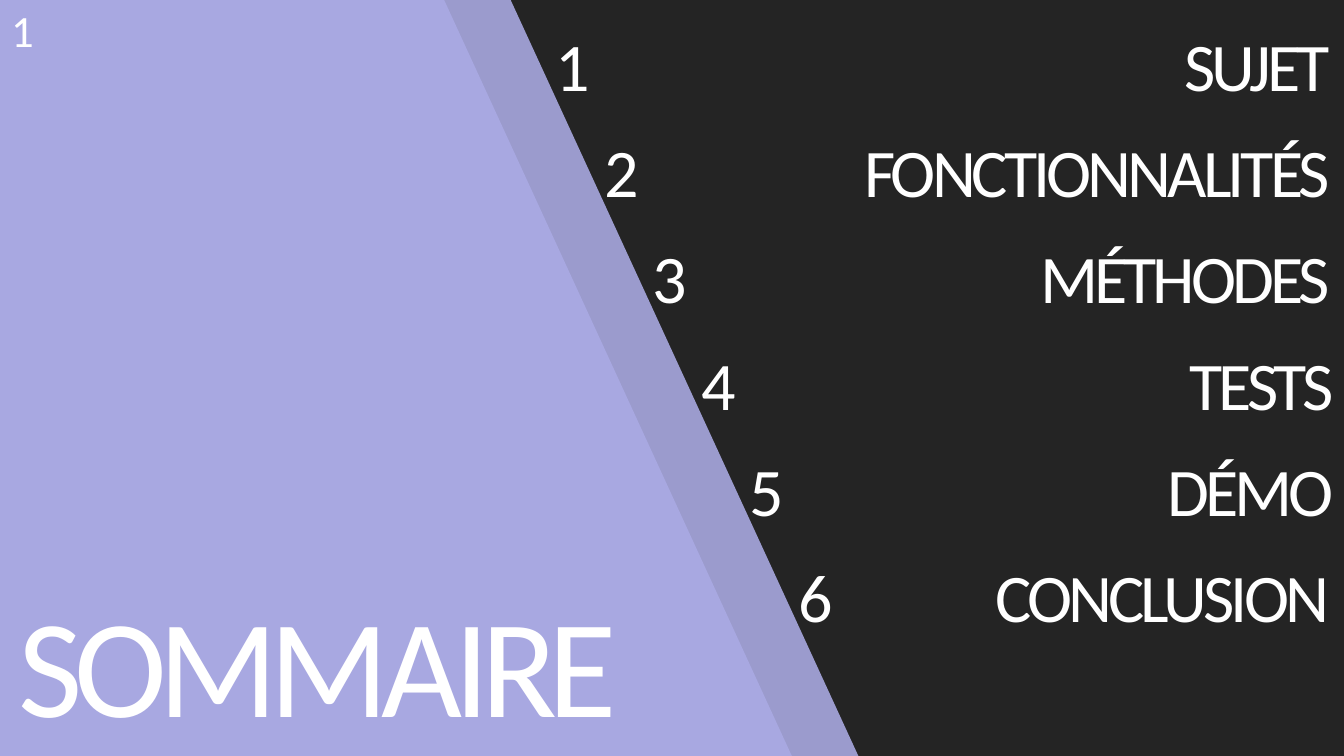
from pptx import Presentation
from pptx import util as u
from pptx.dml.color import RGBColor
from pptx.enum import shapes, text

PX = 9144  # 100 px to the inch
WHITE = "FFFFFF"
TOPICS = [  # label, left and right edge
    ("SUJET", 1150, 1979),
    ("FONCTIONNALITÉS", 1127, 1979),
    ("MÉTHODES", 1362, 1979),
    ("TESTS", 1368, 1985),
    ("DÉMO", 1374, 1985),
    ("CONCLUSION", 1368, 1978),
]
ROW_PITCH, ROW_HEIGHT = 158, 137
NUMBER_SHIFT, NUMBER_WIDTH = 72.6, 67


def color(hex_string):
    return RGBColor.from_string(hex_string)


def place(shape, left, top, width, height):
    shape.left, shape.top, shape.width, shape.height = (
        u.Emu(value * PX) for value in (left, top, width, height))


def write(shape, wording, size, line, spacing, align=text.PP_ALIGN.LEFT):
    """Fill a shape with one line; spacing is in hundredths of a point."""
    frame = shape.text_frame
    frame.text = wording
    frame.word_wrap = True
    frame.auto_size = text.MSO_AUTO_SIZE.SHAPE_TO_FIT_TEXT
    frame.vertical_anchor = text.MSO_ANCHOR.TOP
    frame.margin_left = frame.margin_top = frame.margin_right = frame.margin_bottom = 0
    paragraph = frame.paragraphs[0]
    paragraph.alignment = align
    paragraph.line_spacing = u.Pt(line)
    run = paragraph.runs[0]
    run.font.name = "Calibri"
    run.font.size = u.Pt(size)
    run.font.color.rgb = color(WHITE)
    run.font._element.set("spc", str(spacing))


def add_text(slide, box, wording, *style):
    shape = slide.shapes.add_textbox(0, 0, 0, 0)
    write(shape, wording, *style)
    place(shape, *box)


def add_panel(slide, box, rotation, fill):
    shape = slide.shapes.add_shape(shapes.MSO_SHAPE.RECTANGLE, 0, 0, 0, 0)
    place(shape, *box)
    shape.rotation = rotation
    shape.shadow.inherit = False
    shape.fill.solid()
    shape.fill.fore_color.rgb = color(fill)
    shape.line.fill.background()


def add_title(slide, box):
    title = slide.shapes.title
    write(title, "SOMMAIRE", 149.9, 133.4, -880)
    place(title, *box)
    # Bring the title in front of the panels
    slide.shapes._spTree.append(title._element)


def add_contents(slide, left, top):
    """Numbers step along the slanted edge, topics align to the right."""
    style = (72.9, 102, -430)
    for index, (label, label_left, label_right) in enumerate(TOPICS):
        row_top = top + index * ROW_PITCH
        number_left = left + round(index * NUMBER_SHIFT)
        add_text(slide, (number_left, row_top, NUMBER_WIDTH, ROW_HEIGHT),
                 str(index + 1), *style)
        add_text(slide, (label_left, row_top, label_right - label_left, ROW_HEIGHT),
                 label, *style, text.PP_ALIGN.RIGHT)


def main():
    presentation = Presentation()
    presentation.slide_width = u.Emu(2000 * PX)
    presentation.slide_height = u.Emu(1125 * PX)
    slide = presentation.slides.add_slide(presentation.slide_layouts[5])
    slide.background.fill.solid()
    slide.background.fill.fore_color.rgb = color("242424")

    add_panel(slide, (496, -646, 444, 2172), 335.3, "9B9BCD")
    add_panel(slide, (-756, 322, 2287, 1316), 245.3, "A8A8E1")
    add_title(slide, (27, 924, 1172, 201))
    add_contents(slide, 826, 15)
    add_text(slide, (0, -9, 67, 89), "1", 47.9, 67, -280, text.PP_ALIGN.CENTER)
    presentation.save("out.pptx")


if __name__ == "__main__":
    main()
